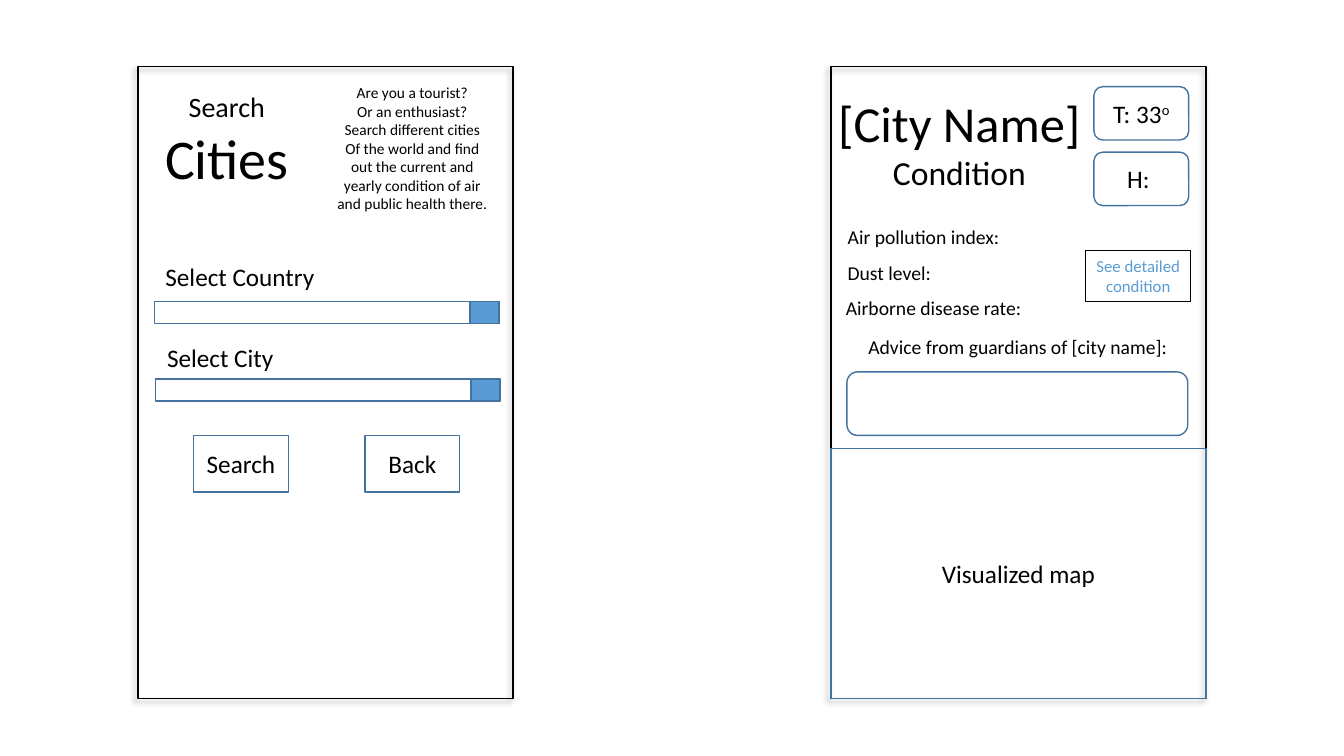
from dataclasses import dataclass
from lxml import etree
from pptx import Presentation, util as u
from pptx.dml.color import RGBColor
from pptx.enum import shapes, text
from pptx.oxml import parse_xml
from pptx.oxml.ns import nsdecls


@dataclass(frozen=True)
class Theme:
    font: str = "Calibri"
    ink: str = "000000"
    paper: str = "FFFFFF"
    accent: str = "5B9BD5"
    border: str = "43739E"
    hero: int = 40
    title: int = 36
    subtitle: int = 24
    lead: int = 20
    label: int = 18
    body: int = 14
    link: int = 12
    note: int = 11


T = Theme()
CELL = u.Inches(0.1)
RECT = shapes.MSO_SHAPE.RECTANGLE
ROUND = shapes.MSO_SHAPE.ROUNDED_RECTANGLE


def write(tf, lines, sizes, color=T.ink, wrap=True, grow=False, middle=False):
    tf.word_wrap = wrap
    tf.auto_size = (text.MSO_AUTO_SIZE.SHAPE_TO_FIT_TEXT if grow
                    else text.MSO_AUTO_SIZE.NONE)
    tf.vertical_anchor = text.MSO_ANCHOR.MIDDLE if middle else text.MSO_ANCHOR.TOP
    if isinstance(sizes, int):
        sizes = [sizes] * len(lines)
    for i, (line, size) in enumerate(zip(lines, sizes)):
        p = tf.add_paragraph() if i else tf.paragraphs[0]
        p.alignment = text.PP_ALIGN.CENTER
        for j, part in enumerate(line.split("^")):
            r = p.add_run()
            r.text = part
            r.font.name, r.font.size = T.font, u.Pt(size)
            r.font.color.rgb = RGBColor.from_string(color)
            if j:
                r.font._element.set("baseline", "30000")


class Screen:
    def __init__(self, s):
        self.s = s
        self.col = self.row = 0

    def place(self, col, row, cols, rows):
        return [round(n * CELL) for n in (self.col + col, self.row + row, cols, rows)]

    def box(self, col, row, cols, rows, kind=RECT, line=T.border, width=1,
            fill=None, parent=None):
        sp = (parent or self.s).shapes.add_shape(
            kind, *self.place(col, row, cols, rows))
        sp.shadow.inherit = False
        if fill:
            sp.fill.solid()
            sp.fill.fore_color.rgb = RGBColor.from_string(fill)
        else:
            sp.fill.background()
        sp.line.color.rgb = RGBColor.from_string(line)
        sp.line.width = u.Pt(width)
        return sp

    def panel(self, col, row, cols, rows):
        self.col, self.row = col, row
        sp = self.box(0, 0, cols, rows, line=T.ink)
        spPr = sp._element.spPr
        effects = spPr.find("{*}effectLst")
        shadow = parse_xml(
            f'<a:outerShdw {nsdecls("a")} blurRad="50800" dist="38100" '
            'dir="8100000" algn="tr" rotWithShape="0"/>')
        color = etree.SubElement(shadow, shadow.tag.replace("outerShdw", "srgbClr"),
                                 val=T.ink)
        etree.SubElement(color, color.tag.replace("srgbClr", "alpha"), val="40000")
        effects.append(shadow)

    def button(self, col, row, cols, rows, caption, kind=RECT):
        sp = self.box(col, row, cols, rows, kind)
        write(sp.text_frame, [caption], T.label, middle=True)

    def label(self, col, row, cols, rows, lines, sizes, wrap=False):
        tb = self.s.shapes.add_textbox(*self.place(col, row, cols, rows))
        write(tb.text_frame, lines, sizes, wrap=wrap, grow=True)

    def dropdown(self, col, row, cols=34.2, rows=2.2, arrow=2.9):
        group = self.s.shapes.add_group_shape()
        self.box(col, row, cols, rows, fill=T.paper, parent=group)
        self.box(col + cols - arrow, row, arrow, rows, fill=T.accent, parent=group)

    def link(self, col, row, cols, rows, lines):
        sp = self.box(col, row, cols, rows, line=T.ink, width=0.75)
        write(sp.text_frame, lines, T.link, color=T.accent, wrap=False, grow=True)


prs = Presentation()
prs.slide_width, prs.slide_height = u.Inches(13.33), u.Inches(7.5)
screen = Screen(prs.slides.add_slide(prs.slide_layouts[6]))
PANEL = 37.2, 62.7

screen.panel(13.7, 6.6, *PANEL)
screen.label(1.6, 1.8, 14.4, 11.1, ["Search", "Cities"], [T.lead, T.hero])
screen.label(18.7, 1.2, 17, 14, [
    "Are you a tourist?", "Or an enthusiast?", "Search different cities",
    "Of the world and find out the current and yearly condition of air "
    "and public health there."], T.note, wrap=True)
screen.label(1.6, 18.8, 17, 4, ["Select Country"], T.label)
screen.dropdown(1.6, 23.3)
screen.label(1.8, 26.9, 12.7, 4, ["Select City"], T.label)
screen.dropdown(1.7, 31)
for i, caption in enumerate(["Search", "Back"]):
    screen.button(5.5 + 17 * i, 36.6, 9.4, 5.6, caption)

screen.panel(82.4, 6.6, *PANEL)
screen.label(-0.4, 2, 26.3, 11.1, ["[City Name]", "Condition"], [T.title, T.subtitle])
screen.button(0, 37.9, 37.2, 24.8, "Visualized map")
for i, reading in enumerate(["T: 33^o", "H: "]):
    screen.button(26.1, 2 + 6.5 * i, 9.4, 5.3, reading, ROUND)
measures = [("Air pollution index:", 0.6, 17.2), ("Dust level:", 0.6, 10.4),
            ("Airborne disease rate:", 0.4, 19.6)]
for i, (name, col, cols) in enumerate(measures):
    screen.label(col, 15.2 + 3.55 * i, cols, 3.4, [name], T.body)
screen.link(25.3, 18.3, 10.4, 5, ["See detailed", "condition"])
screen.label(2.6, 26.1, 31.9, 3.4, ["Advice from guardians of [city name]:"], T.body)
screen.box(1.6, 30.3, 33.8, 6.3, ROUND)

prs.save("out.pptx")
